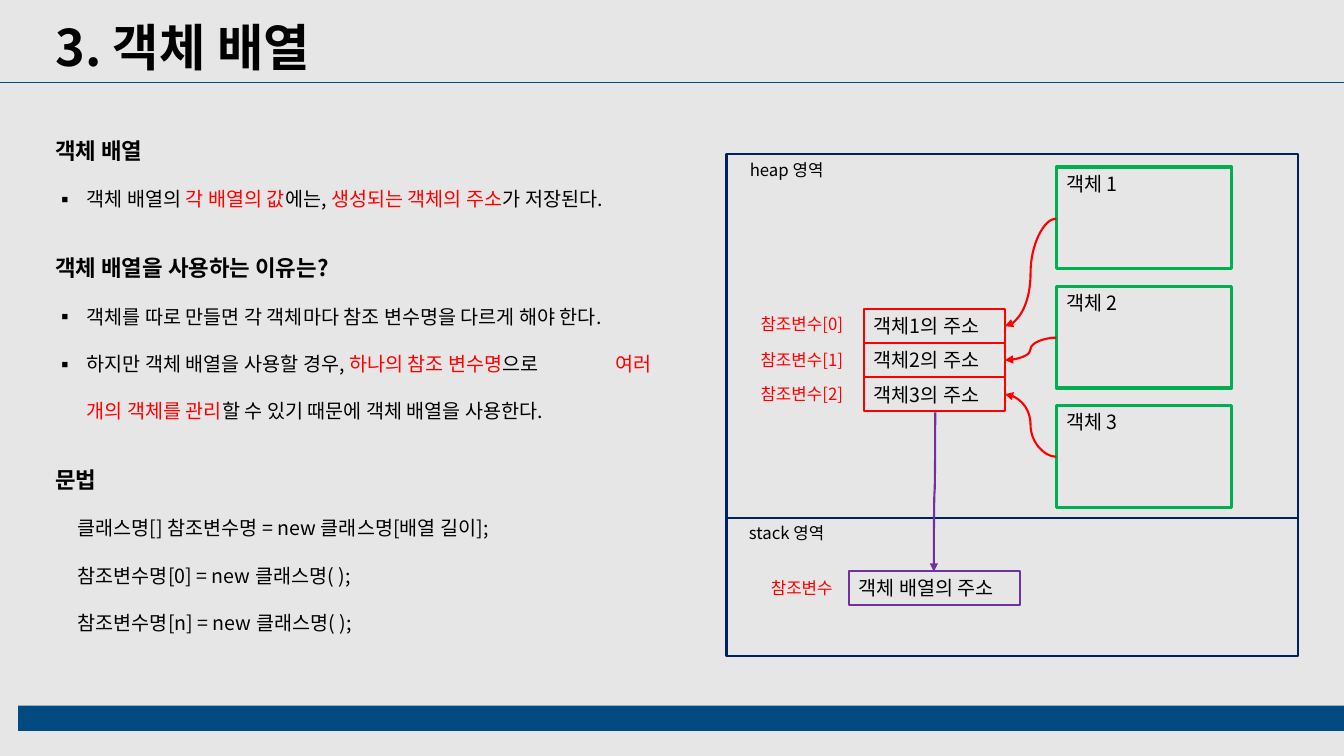
import pptx
import pptx.util
import pptx.dml.color
import pptx.enum.shapes
import pptx.enum.text
import pptx.oxml.ns
from lxml import etree

Pt = pptx.util.Pt
ALIGN = pptx.enum.text.PP_ALIGN
ANCHOR = pptx.enum.text.MSO_ANCHOR
SHAPE = pptx.enum.shapes.MSO_SHAPE
CONNECTOR = pptx.enum.shapes.MSO_CONNECTOR
qn = pptx.oxml.ns.qn
FONT = "Noto Sans CJK KR"
COLORS = {
    name: pptx.dml.color.RGBColor.from_string(value)
    for name, value in {
        "background": "E7E6E6", "blue": "024B80", "navy": "002060", "black": "000000",
        "red": "FF0000", "green": "00B050", "purple": "7030A0",
    }.items()
}


def write(para, text, size, color="black", bold=False):
    span = para.add_run()
    span.text = text
    for name, value in {"name": FONT, "size": Pt(size), "bold": bold}.items():
        setattr(span.font, name, value)
    span.font.color.rgb = COLORS[color]
    etree.SubElement(span.font._element, qn("a:ea"), typeface=FONT)


def add_box(left, top, width, height, line=None, weight=1.5, text="", size=14,
            color="black", align=ALIGN.LEFT, anchor=ANCHOR.TOP):
    if line:
        box = page.shapes.add_shape(SHAPE.RECTANGLE, Pt(left), Pt(top), Pt(width), Pt(height))
        box.shadow.inherit = False
        box.fill.background()
        box.line.color.rgb = COLORS[line]
        box.line.width = Pt(weight)
    else:
        box = page.shapes.add_textbox(Pt(left), Pt(top), Pt(width), Pt(height))
    frame = box.text_frame
    frame.word_wrap = True
    frame.vertical_anchor = anchor
    frame.paragraphs[0].alignment = align
    if text:
        write(frame.paragraphs[0], text, size, color)
    return box


deck = pptx.Presentation()
deck.slide_width, deck.slide_height = Pt(960), Pt(540)
page = deck.slides.add_slide(deck.slide_layouts[5])
page.background.fill.solid()
page.background.fill.fore_color.rgb = COLORS["background"]

footer = add_box(13, 504, 947, 18, "blue")
footer.fill.solid()
footer.fill.fore_color.rgb = COLORS["blue"]
footer.line.fill.background()

title = page.shapes.title
for name, value in {"left": 32.4, "top": 7.9, "width": 627, "height": 51}.items():
    setattr(title, name, Pt(value))
title.text_frame.vertical_anchor = ANCHOR.TOP
title.text_frame.auto_size = pptx.enum.text.MSO_AUTO_SIZE.NONE
title.text_frame.paragraphs[0].alignment = ALIGN.LEFT
write(title.text_frame.paragraphs[0], "3. 객체 배열", 36, bold=True)

notes = [
    ("heading", [("객체 배열", "black")]),
    ("bullet", [("객체 배열의 ", "black"), ("각 배열의 값", "red"), ("에는, ", "black"),
                ("생성되는 객체의 주소", "red"), ("가 저장된다.", "black")]),
    ("heading", [("객체 배열을 사용하는 이유는?", "black")]),
    ("bullet", [("객체를 따로 만들면 각 객체마다 참조 변수명을 다르게 해야 한다.", "black")]),
    ("bullet", [("하지만 객체 배열을 사용할 경우, ", "black"), ("하나의 참조 변수명", "red"),
                ("으로\t", "black"), ("여러 개의 객체를 관리", "red"),
                ("할 수 있기 때문에 객체 배열을 사용한다.", "black")]),
    ("heading", [("문법", "black")]),
    ("code", [("클래스명[] 참조변수명 = new 클래스명[배열 길이];", "black")]),
    ("code", [("참조변수명[0] = new 클래스명( );", "black")]),
    ("code", [("참조변수명[n] = new 클래스명( );", "black")]),
]
frame = add_box(32.4, 74.9, 463, 377.3).text_frame
for index, (kind, spans) in enumerate(notes):
    para = frame.add_paragraph() if index else frame.paragraphs[0]
    para.line_spacing = 2.0
    properties = para._p.get_or_add_pPr()
    if kind == "heading" and index:
        para.space_before = Pt(12)
    if kind == "code":
        properties.set("marL", str(Pt(16)))
    if kind == "bullet":
        properties.set("marL", str(Pt(22.5)))
        properties.set("indent", str(-Pt(22.5)))
        etree.SubElement(properties, qn("a:buFont"), typeface=FONT)
        etree.SubElement(properties, qn("a:buChar"), char="▪")
        tabs = etree.SubElement(properties, qn("a:tabLst"))
        etree.SubElement(tabs, qn("a:tab"), pos=str(Pt(400)), algn="l")
    for text, color in spans:
        write(para, text, 16 if kind == "heading" else 14, color, kind == "heading")

for name, top, height in [("stack 영역", 370.1, 98.8), ("heap 영역", 110.2, 259.9)]:
    add_box(519, top, 408.2, height, "navy")
    add_box(518.4, top, 87, 21.8, text=name, size=12, align=ALIGN.CENTER)

add_box(606.2, 407.7, 122.4, 24.2, "purple", text="객체 배열의 주소")
add_box(529.2, 409, 87, 21.8, text="참조변수", size=12, color="red", align=ALIGN.CENTER)

links = [(CONNECTOR.STRAIGHT, 0, 59, 960, 59, "blue", 0.5)]
for index, label_top in enumerate([220.3, 246.2, 270.7]):
    address_top = 220.8 + 24.3 * index
    object_top = 119.3 + 85.1 * index
    add_box(617, address_top, 100.8, 24.3, "red", text=f"객체{index + 1}의 주소", anchor=ANCHOR.MIDDLE)
    add_box(529.2, label_top, 87, 21.8, text=f"참조변수[{index}]", size=12, color="red",
            align=ALIGN.CENTER)
    add_box(754.6, object_top, 125.2, 72.8, "green", 2.25, f"객체 {index + 1}")
    links.append((CONNECTOR.CURVE, 754.6, object_top + 36.8, 717.8, address_top + 12.2, "red", 1.5))
links.append((CONNECTOR.CURVE, 610.6, 350.9, 724.4, 351.9, "purple", 1.5))

for kind, left, top, right, bottom, color, weight in links:
    link = page.shapes.add_connector(kind, Pt(left), Pt(top), Pt(right), Pt(bottom))
    link.line.color.rgb = COLORS[color]
    link.line.width = Pt(weight)
    if kind == CONNECTOR.CURVE:
        etree.SubElement(link.line._get_or_add_ln(), qn("a:tailEnd"), type="triangle")
    if color == "purple":
        link._element.spPr.find(qn("a:xfrm")).set("rot", "5400000")
    etree.SubElement(link._element.spPr, qn("a:effectLst"))

deck.save("out.pptx")
